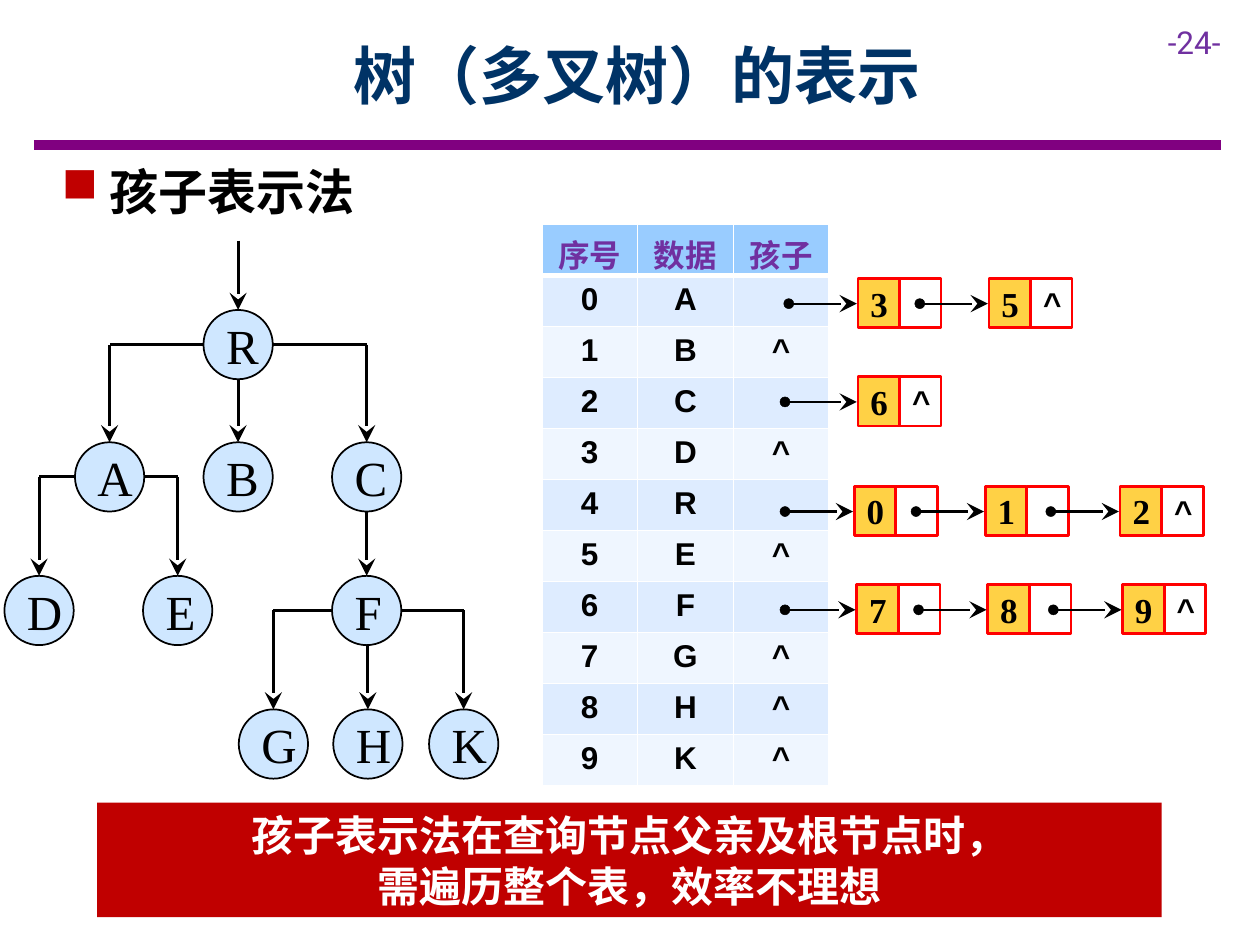
from typing import NamedTuple, Optional

from pptx import Presentation
from pptx.dml.color import RGBColor
from pptx.enum.shapes import MSO_CONNECTOR, MSO_SHAPE
from pptx.enum.text import MSO_ANCHOR, PP_ALIGN
from pptx.oxml import parse_xml
from pptx.oxml.ns import nsdecls, qn
from pptx.oxml.xmlchemy import OxmlElement
from pptx.util import Inches, Pt

CJK, SERIF, SANS = "Noto Sans CJK SC", "Times New Roman", "Arial"
NODE = 0.55
BOX_W, BOX_H, DOT = 0.33, 0.39, 0.08
CHAIN_STEPS = (0, 1.04, 2.11)


class Node(NamedTuple):
    name: str
    cx: float
    top: float
    parent: Optional[str]


class Chain(NamedTuple):
    left: float
    top: float
    dot: float
    values: str


NODES = [
    Node("R", 1.89, 2.46, None),
    Node("A", 0.87, 3.51, "R"), Node("B", 1.89, 3.51, "R"), Node("C", 2.91, 3.51, "R"),
    Node("D", 0.31, 4.57, "A"), Node("E", 1.41, 4.57, "A"), Node("F", 2.91, 4.57, "C"),
    Node("G", 2.17, 5.63, "F"), Node("H", 2.92, 5.63, "F"), Node("K", 3.68, 5.63, "F"),
]
CHAINS = [
    Chain(6.81, 2.21, 6.22, "35"),
    Chain(6.81, 2.99, 6.19, "6"),
    Chain(6.78, 3.86, 6.19, "012"),
    Chain(6.80, 4.64, 6.19, "789"),
]

prs = Presentation()
prs.slide_width, prs.slide_height = Inches(10), Inches(7.5)
s = prs.slides.add_slide(prs.slide_layouts[6])


def rgb(value: str) -> RGBColor:
    return RGBColor.from_string(value)


def write(tf, text: str, *, size: float, font: str, color: str = "000000",
          bold: bool = False, align=PP_ALIGN.CENTER, anchor=MSO_ANCHOR.TOP,
          inset: Optional[float] = None, spacing=None) -> None:
    """Write one paragraph for each line of text."""
    tf.word_wrap = True
    tf.vertical_anchor = anchor
    if inset is not None:
        tf.margin_left = tf.margin_right = tf.margin_top = tf.margin_bottom = Inches(inset)
    for i, line in enumerate(text.split("\n")):
        p = tf.add_paragraph() if i else tf.paragraphs[0]
        p.alignment = align
        if spacing:
            p.line_spacing = spacing
        r = p.add_run()
        r.text = line
        r.font.size, r.font.bold, r.font.name = Pt(size), bold, font
        r.font.color.rgb = rgb(color)
        ea = OxmlElement("a:ea")
        ea.set("typeface", CJK)
        r.font._element.append(ea)


def add_text(x: float, y: float, w: float, h: float, text: str, **fmt):
    tf = s.shapes.add_textbox(Inches(x), Inches(y), Inches(w), Inches(h)).text_frame
    write(tf, text, **fmt)
    return tf


def add_shape(kind, x: float, y: float, w: float, h: float, fill: Optional[str] = None,
              line: Optional[str] = None, width: float = 1, alpha: int = 100):
    sp = s.shapes.add_shape(kind, Inches(x), Inches(y), Inches(w), Inches(h))
    sp.shadow.inherit = False
    if fill:
        sp.fill.solid()
        sp.fill.fore_color.rgb = rgb(fill)
        if alpha < 100:
            a = OxmlElement("a:alpha")
            a.set("val", str(alpha * 1000))
            next(sp._element.spPr.iter(qn("a:srgbClr"))).append(a)
    else:
        sp.fill.background()
    if line:
        sp.line.color.rgb = rgb(line)
        sp.line.width = Pt(width)
    else:
        sp.line.fill.background()
    return sp


def add_line(x1: float, y1: float, x2: float, y2: float, width: float = 1.75,
             color: str = "000000", arrow: bool = False) -> None:
    c = s.shapes.add_connector(MSO_CONNECTOR.STRAIGHT, Inches(x1), Inches(y1),
                               Inches(x2), Inches(y2))
    c.line.color.rgb = rgb(color)
    c.line.width = Pt(width)
    if arrow:
        tail = OxmlElement("a:tailEnd")
        for key, val in (("type", "stealth"), ("w", "lg"), ("len", "lg")):
            tail.set(key, val)
        c.line._get_or_add_ln().append(tail)
    c._element.spPr.append(OxmlElement("a:effectLst"))


def add_node(node: Node) -> None:
    sp = add_shape(MSO_SHAPE.OVAL, node.cx - NODE / 2, node.top, NODE, NODE,
                   "99CCFF", "000000", 1, alpha=47)
    write(sp.text_frame, node.name, size=28, font=SERIF, anchor=MSO_ANCHOR.MIDDLE, inset=0.1)


def add_edge(parent: Node, child: Node) -> None:
    """Straight down to a child below, otherwise sideways and then down."""
    shift = child.cx - parent.cx
    if abs(shift) < 0.1:
        add_line(child.cx, parent.top + NODE, child.cx, child.top, arrow=True)
        return
    mid = parent.top + NODE / 2
    side = parent.cx + (NODE / 2 if shift > 0 else -NODE / 2)
    add_line(side, mid, child.cx, mid)
    add_line(child.cx, mid, child.cx, child.top, arrow=True)


def add_chain(chain: Chain) -> None:
    """Linked list of value boxes, each followed by a pointer or an end mark."""
    last = len(chain.values) - 1
    for i, value in enumerate(chain.values):
        x, y = chain.left + CHAIN_STEPS[i], chain.top
        sp = add_shape(MSO_SHAPE.RECTANGLE, x, y, BOX_W, BOX_H, "FFC000", "FF0000", 1.5, alpha=73)
        write(sp.text_frame, value, size=20, font=SERIF, bold=True,
              anchor=MSO_ANCHOR.MIDDLE, inset=0.1)
        sp = add_shape(MSO_SHAPE.RECTANGLE, x + BOX_W, y, BOX_W, BOX_H, None, "FF0000", 1.5)
        if i == last:
            write(sp.text_frame, "^", size=18, font=SANS, bold=True,
                  anchor=MSO_ANCHOR.MIDDLE, inset=0.1)
        add_line(x - 0.54, y + 0.2, x - 0.01, y + 0.2, 1.25, arrow=True)
        add_shape(MSO_SHAPE.OVAL, x - 0.59 if i else chain.dot, y + 0.16, DOT, DOT,
                  "000000", "000000", 0.25)


def fill_cell(cell, text: str, fill: str, bottom: float, **fmt) -> None:
    for side, width in (("L", 1), ("R", 1), ("T", 1), ("B", bottom)):
        cell._tc.get_or_add_tcPr().append(parse_xml(
            f'<a:ln{side} {nsdecls("a")} w="{Pt(width)}"><a:solidFill>'
            f'<a:srgbClr val="FFFFFF"/></a:solidFill></a:ln{side}>'))
    cell.fill.solid()
    cell.fill.fore_color.rgb = rgb(fill)
    write(cell.text_frame, text, size=18, bold=True, **fmt)


# Heading
add_line(0.27, 1.15, 9.69, 1.15, 6, "800080")
add_text(9.17, 0.13, 0.83, 0.4, "-24-", size=18, font="Roboto", color="7030A0",
         align=PP_ALIGN.LEFT)
add_text(0.9, 0.09, 8.31, 1, "树（多叉树）的表示", size=36, font=CJK, color="003366",
         bold=True, anchor=MSO_ANCHOR.MIDDLE)
tf = add_text(0.39, 1.23, 3.43, 0.57, "孩子表示法", size=28, font=CJK, bold=True,
              align=PP_ALIGN.LEFT)
pPr = tf.paragraphs[0]._p.get_or_add_pPr()
pPr.set("marL", str(Inches(0.38)))
pPr.set("indent", str(-Inches(0.38)))
pPr.append(parse_xml(f'<a:buClr {nsdecls("a")}><a:srgbClr val="C00000"/></a:buClr>'))
pPr.append(parse_xml(f'<a:buChar {nsdecls("a")} char="■"/>'))

# Tree
by_name = {node.name: node for node in NODES}
add_line(1.89, 1.91, 1.89, 2.46, arrow=True)
for node in NODES:
    add_node(node)
    if node.parent:
        add_edge(by_name[node.parent], node)

# Child table
table = s.shapes.add_table(11, 3, Inches(4.3), Inches(1.78), Inches(2.28), Inches(4.46)).table
table.first_row = table.horz_banding = False
for row in table.rows:
    row.height = Inches(4.46 / 11)
for cell, title in zip(table.rows[0].cells, ("序号", "数据", "孩子")):
    cell.margin_bottom = 0
    fill_cell(cell, title, "99CCFF", 3, font=CJK, color="7030A0")
for i, name in enumerate("ABCDREFGHK"):
    child = "" if name in "ACRF" else "^"
    for cell, text in zip(table.rows[i + 1].cells, (str(i), name, child)):
        fill_cell(cell, text, "EFF6FF" if i % 2 else "DEECFF", 1, font=SANS)

# Conclusion
banner = add_shape(MSO_SHAPE.RECTANGLE, 0.77, 6.37, 8.45, 0.91, "C00000")
write(banner.text_frame, "孩子表示法在查询节点父亲及根节点时，\n需遍历整个表，效率不理想", size=24,
      font=SERIF, color="FFFFFF", bold=True, anchor=MSO_ANCHOR.MIDDLE, spacing=Pt(29))

# Child lists
for chain in CHAINS:
    add_chain(chain)

prs.save("out.pptx")
